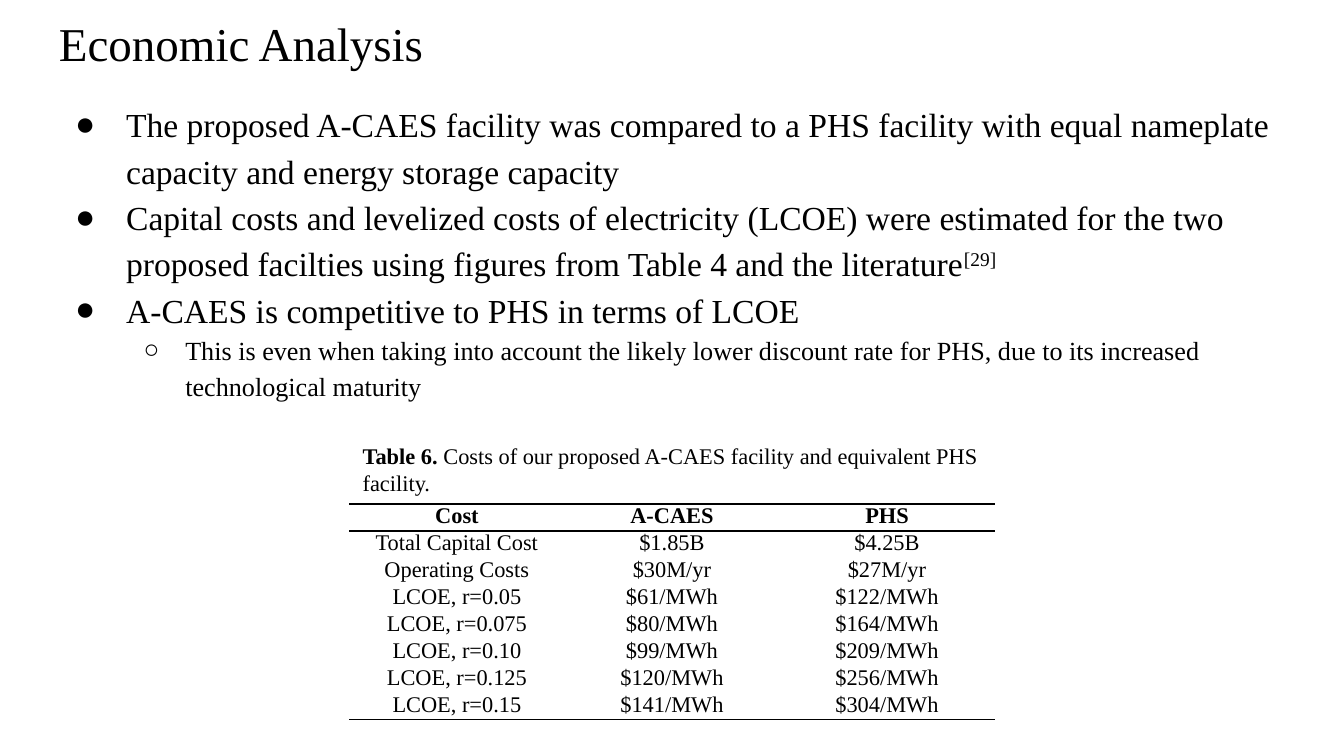
from lxml import etree
from pptx import Presentation
from pptx.dml.color import RGBColor
from pptx.enum import text
from pptx.oxml import ns
from pptx.util import Inches, Pt

BLACK = RGBColor(0, 0, 0)
FONT = "Times New Roman"
COSTS = [
    ("Cost", "A-CAES", "PHS"),
    ("Total Capital Cost", "$1.85B", "$4.25B"),
    ("Operating Costs", "$30M/yr", "$27M/yr"),
    ("LCOE, r=0.05", "$61/MWh", "$122/MWh"),
    ("LCOE, r=0.075", "$80/MWh", "$164/MWh"),
    ("LCOE, r=0.10", "$99/MWh", "$209/MWh"),
    ("LCOE, r=0.125", "$120/MWh", "$256/MWh"),
    ("LCOE, r=0.15", "$141/MWh", "$304/MWh"),
]
BULLETS = [
    (0, "The proposed A-CAES facility was compared to a PHS facility with equal "
        "nameplate capacity and energy storage capacity", ""),
    (0, "Capital costs and levelized costs of electricity (LCOE) were estimated for "
        "the two proposed facilties using figures from Table 4 and the literature", "[29]"),
    (0, "A-CAES is competitive to PHS in terms of LCOE", ""),
    (1, "This is even when taking into account the likely lower discount rate for PHS, "
        "due to its increased technological maturity", ""),
]
LEVELS = [("●", 0.5, 0.38, 18), ("○", 0.94, 0.31, 14)]


def add_run(p, content, size=12, bold=False, raised=0):
    """Append a formatted run, optionally raised by a percentage."""
    r = p.add_run()
    r.text = content
    r.font.name, r.font.size, r.font.bold = FONT, Pt(size), bold
    r.font.color.rgb = BLACK
    if raised:
        r.font._element.set("baseline", str(raised * 1000))


def add_box(s, left, top, width, height, inset_y=0.1, anchor=text.MSO_ANCHOR.TOP):
    """Add a wrapping text box and return its text frame."""
    tf = s.shapes.add_textbox(*map(Inches, (left, top, width, height))).text_frame
    tf.word_wrap = True
    tf.vertical_anchor = anchor
    tf.margin_left = tf.margin_right = Inches(0.1)
    tf.margin_top = tf.margin_bottom = Inches(inset_y)
    return tf


def set_bullet(p, char, indent, hang, size):
    """Give a paragraph a hanging bullet."""
    pPr = p._p.get_or_add_pPr()
    pPr.set("marL", str(Inches(indent)))
    pPr.set("indent", str(-Inches(hang)))
    etree.SubElement(pPr, ns.qn("a:buSzPts")).set("val", str(size * 100))
    etree.SubElement(pPr, ns.qn("a:buFont")).set("typeface", FONT)
    etree.SubElement(pPr, ns.qn("a:buChar")).set("char", char)


def add_bullets(tf):
    """Fill a text frame with the bulleted findings."""
    for i, (level, content, citation) in enumerate(BULLETS):
        p = tf.add_paragraph() if i else tf.paragraphs[0]
        p.level = level
        set_bullet(p, *LEVELS[level])
        p.line_spacing = 1.15
        size = LEVELS[level][-1]
        add_run(p, content, size=size)
        if citation:
            add_run(p, citation, size=size, raised=30)


def set_borders(cell, visible):
    """Draw the listed sides as 1 pt black lines and hide the others."""
    tcPr = cell._tc.get_or_add_tcPr()
    for i, side in enumerate("LRTB"):
        ln = etree.Element(ns.qn(f"a:ln{side}"), w=str(Pt(1)))
        if side in visible:
            fill = etree.SubElement(ln, ns.qn("a:solidFill"))
            etree.SubElement(fill, ns.qn("a:srgbClr")).set("val", str(BLACK))
        else:
            etree.SubElement(ln, ns.qn("a:noFill"))
        tcPr.insert(i, ln)


def add_cost_table(s):
    """Add the cost table ruled above and below its header and at its end."""
    rows, cols = len(COSTS), len(COSTS[0])
    table = s.shapes.add_table(rows, cols, Inches(2.6), Inches(3.75),
                               Inches(1.6 * cols), Inches(0.19 * rows)).table
    table.first_row = table.horz_banding = False
    sides = {0: "TB", 1: "T", rows - 1: "B"}
    for i, row in enumerate(COSTS):
        for j, content in enumerate(row):
            cell = table.cell(i, j)
            cell.fill.background()
            cell.margin_left = cell.margin_right = Inches(0.07)
            cell.margin_top = cell.margin_bottom = 0
            set_borders(cell, sides.get(i, ""))
            p = cell.text_frame.paragraphs[0]
            p.alignment = text.PP_ALIGN.CENTER
            p.line_spacing = 1.0
            add_run(p, content, bold=i == 0)


def main():
    """Build and save the economic analysis slide."""
    prs = Presentation()
    prs.slide_width, prs.slide_height = Inches(10), Inches(10) * 9 // 16
    s = prs.slides.add_slide(prs.slide_layouts[6])
    title = add_box(s, 0.34, 0, 9.32, 0.63, anchor=text.MSO_ANCHOR.MIDDLE)
    add_run(title.paragraphs[0], "Economic Analysis", size=25.2)
    add_bullets(add_box(s, 0.34, 0.63, 9.32, 3.74))
    add_cost_table(s)
    caption = add_box(s, 2.6, 3.24, 4.89, 0.5, inset_y=0.05).paragraphs[0]
    add_run(caption, "Table 6.", bold=True)
    add_run(caption, " Costs of our proposed A-CAES facility and equivalent PHS facility.")
    prs.save("out.pptx")


if __name__ == "__main__":
    main()
